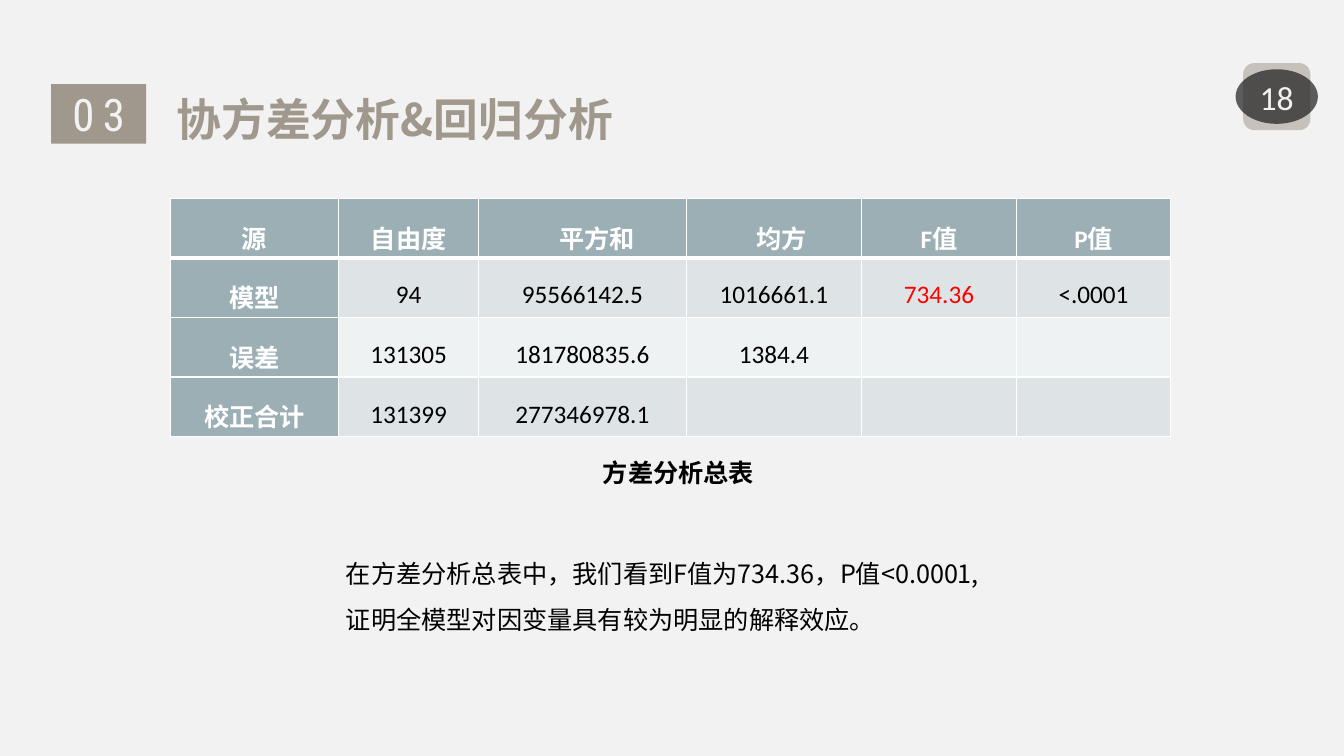
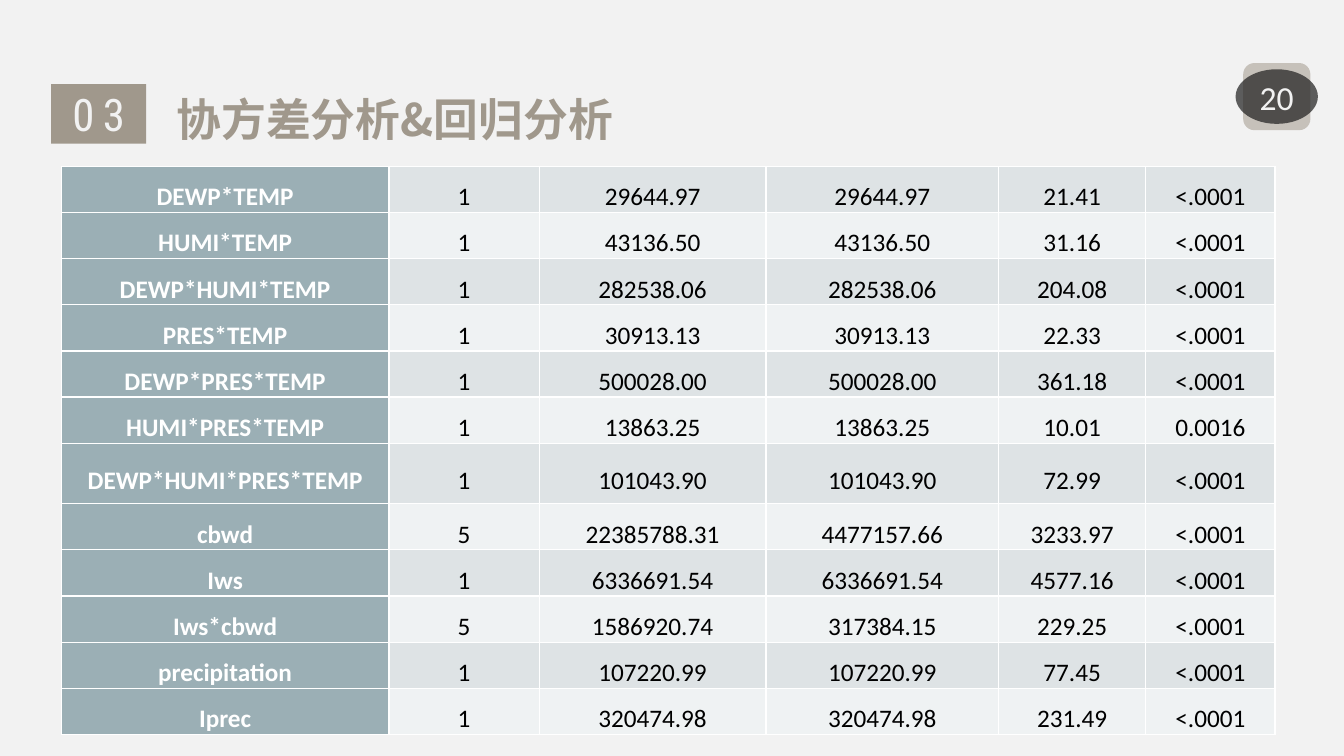
from dataclasses import dataclass, field

import lxml.etree
import pptx
import pptx.dml.color
import pptx.enum.shapes
import pptx.enum.text
import pptx.oxml.ns
import pptx.presentation
import pptx.shapes.autoshape
import pptx.slide
import pptx.table
import pptx.text.text
import pptx.util

RGBColor = pptx.dml.color.RGBColor
ALIGN = pptx.enum.text.PP_ALIGN
ANCHOR = pptx.enum.text.MSO_ANCHOR
SHAPE = pptx.enum.shapes.MSO_SHAPE
qn = pptx.oxml.ns.qn

PAPER = RGBColor(0xF2, 0xF2, 0xF2)
TAUPE = RGBColor(0xA0, 0x98, 0x8C)
PALE_TAUPE = RGBColor(0xC6, 0xC1, 0xBA)
CHARCOAL = RGBColor(0x1D, 0x1D, 0x1D)
SLATE = RGBColor(0x9B, 0xAF, 0xB5)
BANDS = (RGBColor(0xDE, 0xE3, 0xE5), RGBColor(0xEF, 0xF2, 0xF3))
WHITE = RGBColor(0xFF, 0xFF, 0xFF)
BLACK = RGBColor(0x00, 0x00, 0x00)
RED = RGBColor(0xFF, 0x00, 0x00)

CHINESE = "Noto Sans CJK SC"
GRID_COLUMNS, GRID_ROWS = 160, 90
UNIT = pptx.util.Inches(1) / 12


def grid(count: float) -> int:
    return round(count * UNIT)


def points(size: float) -> int:
    return pptx.util.Pt(size)


@dataclass(frozen=True)
class Area:
    column: float
    row: float
    columns: float
    rows: float

    def lengths(self) -> tuple[int, int, int, int]:
        return grid(self.column), grid(self.row), grid(self.columns), grid(self.rows)


@dataclass(frozen=True)
class Style:
    size: float
    color: RGBColor
    font: str = "Calibri"
    bold: bool = False
    align: ALIGN = ALIGN.CENTER
    line_spacing: float = 1.0
    indent: float = 0
    tracking: float = 0


@dataclass(frozen=True)
class Grid:
    column: float
    row: float
    columns: list[float]
    rows: list[float]
    cells: list[list[str]]
    has_header: bool = False
    indents: dict[int, float] = field(default_factory=dict)
    red_cells: tuple[tuple[int, int], ...] = ()


NUMBER = Style(32, PAPER, "Roboto Condensed", tracking=6)
TITLE = Style(32, TAUPE, CHINESE, True, ALIGN.LEFT, 1.2)
PAGE_NUMBER = Style(24, PAPER)
CAPTION = Style(18, BLACK, "Arial", True, ALIGN.LEFT, indent=1.8)
BODY = Style(18, BLACK, CHINESE, align=ALIGN.LEFT, line_spacing=1.5)

SUMMARY = Grid(
    20.3, 23.6,
    [20, 16.7, 24.7, 20.9, 18.4, 18.4],
    [7.1] * 4,
    [
        ["源", "自由度", "平方和", "均方", "F值", "P值"],
        ["模型", "94", "95566142.5", "1016661.1", "734.36", "<.0001"],
        ["误差", "131305", "181780835.6", "1384.4", "", ""],
        ["校正合计", "131399", "277346978.1", "", "", ""],
    ],
    has_header=True,
    indents={2: 3.5, 3: 1.8},
    red_cells=((1, 4),),
)
EFFECTS = Grid(
    7.3, 19.8,
    [39, 17.9, 27, 27.7, 17.5, 15.4],
    [5.4] * 6 + [7.2] + [5.4] * 5,
    [
        ["DEWP*TEMP", "1", "29644.97", "29644.97", "21.41", "<.0001"],
        ["HUMI*TEMP", "1", "43136.50", "43136.50", "31.16", "<.0001"],
        ["DEWP*HUMI*TEMP", "1", "282538.06", "282538.06", "204.08", "<.0001"],
        ["PRES*TEMP", "1", "30913.13", "30913.13", "22.33", "<.0001"],
        ["DEWP*PRES*TEMP", "1", "500028.00", "500028.00", "361.18", "<.0001"],
        ["HUMI*PRES*TEMP", "1", "13863.25", "13863.25", "10.01", "0.0016"],
        ["DEWP*HUMI*PRES*TEMP", "1", "101043.90", "101043.90", "72.99", "<.0001"],
        ["cbwd", "5", "22385788.31", "4477157.66", "3233.97", "<.0001"],
        ["Iws", "1", "6336691.54", "6336691.54", "4577.16", "<.0001"],
        ["Iws*cbwd", "5", "1586920.74", "317384.15", "229.25", "<.0001"],
        ["precipitation", "1", "107220.99", "107220.99", "77.45", "<.0001"],
        ["Iprec", "1", "320474.98", "320474.98", "231.49", "<.0001"],
    ],
)


def write(frame: pptx.text.text.TextFrame, text: str, style: Style) -> None:
    para = frame.paragraphs[0]
    span = para.add_run()
    span.text = text
    if style.tracking:
        span.font._element.set("spc", str(round(style.tracking * 100)))
    if style.indent:
        para._p.get_or_add_pPr().set("indent", str(grid(style.indent)))
    para.alignment = style.align
    para.line_spacing = style.line_spacing
    para.font.size = points(style.size)
    para.font.bold = style.bold
    para.font.color.rgb = style.color
    para.font.name = style.font
    east_asian = lxml.etree.SubElement(para.font._element, qn("a:ea"))
    east_asian.set("typeface", CHINESE)


def add_block(
    page: pptx.slide.Slide, kind: SHAPE, area: Area, color: RGBColor
) -> pptx.shapes.autoshape.Shape:
    block = page.shapes.add_shape(kind, *area.lengths())
    block.shadow.inherit = False
    block.fill.solid()
    block.fill.fore_color.rgb = color
    block.line.fill.background()
    block.text_frame.vertical_anchor = ANCHOR.MIDDLE
    return block


def add_text(
    page: pptx.slide.Slide, area: Area, text: str, style: Style, wrap: bool = True
) -> None:
    box = page.shapes.add_textbox(*area.lengths())
    box.text_frame.word_wrap = wrap
    write(box.text_frame, text, style)


def set_borders(cell: pptx.table._Cell, top: float, bottom: float) -> None:
    properties = cell._tc.get_or_add_tcPr()
    for side, width in (("L", 1), ("R", 1), ("T", top), ("B", bottom)):
        line = lxml.etree.SubElement(properties, qn(f"a:ln{side}"))
        line.set("w", str(points(width)))
        fill = lxml.etree.SubElement(line, qn("a:solidFill"))
        lxml.etree.SubElement(fill, qn("a:srgbClr")).set("val", str(WHITE))


def add_grid(page: pptx.slide.Slide, spec_grid: Grid) -> None:
    area = Area(
        spec_grid.column, spec_grid.row, sum(spec_grid.columns), sum(spec_grid.rows)
    )
    table = page.shapes.add_table(
        len(spec_grid.rows), len(spec_grid.columns), *area.lengths()
    ).table
    table.first_row = spec_grid.has_header
    table.first_col = True
    for column, width in zip(table.columns, spec_grid.columns):
        column.width = grid(width)
    for row, height in zip(table.rows, spec_grid.rows):
        row.height = grid(height)
    for row_index, texts in enumerate(spec_grid.cells):
        is_header = spec_grid.has_header and row_index == 0
        below_header = spec_grid.has_header and row_index == 1
        band = BANDS[(row_index - spec_grid.has_header) % 2]
        for column_index, text in enumerate(texts):
            cell = table.cell(row_index, column_index)
            is_label = is_header or column_index == 0
            is_red = (row_index, column_index) in spec_grid.red_cells
            set_borders(cell, 3 if below_header else 1, 3 if is_header else 1)
            cell.fill.solid()
            cell.fill.fore_color.rgb = SLATE if is_label else band
            cell.vertical_anchor = ANCHOR.MIDDLE
            cell.margin_left = cell.margin_right = pptx.util.Inches(0.07)
            cell.margin_top = cell.margin_bottom = 0
            if text:
                color = WHITE if is_label else RED if is_red else BLACK
                indent = spec_grid.indents.get(column_index, 0) if is_header else 0
                style = Style(
                    18, color, bold=is_label, line_spacing=1.5, indent=indent
                )
                write(cell.text_frame, text, style)


def add_page(
    deck: pptx.presentation.Presentation, page_number: str
) -> pptx.slide.Slide:
    page = deck.slides.add_slide(deck.slide_layouts.get_by_name("Title Only"))
    section = add_block(page, SHAPE.RECTANGLE, Area(6.1, 10, 11.3, 7.1), TAUPE)
    write(section.text_frame, "03", NUMBER)

    title = page.shapes.title
    title.left, title.top, title.width, title.height = Area(19.8, 9, 60.2, 9).lengths()
    title.text_frame.vertical_anchor = ANCHOR.TOP
    title.text_frame.auto_size = pptx.enum.text.MSO_AUTO_SIZE.NONE
    write(title.text_frame, "协方差分析&回归分析", TITLE)

    add_block(page, SHAPE.ROUNDED_RECTANGLE, Area(148, 7.5, 8, 8), PALE_TAUPE)
    badge = add_block(page, SHAPE.OVAL, Area(147.1, 8.25, 9.8, 6.5), CHARCOAL)
    tint = badge._element.spPr.find(qn("a:solidFill")).find(qn("a:srgbClr"))
    lxml.etree.SubElement(tint, qn("a:alpha")).set("val", "70000")
    frame = badge.text_frame
    frame.margin_left = frame.margin_right = pptx.util.Inches(0.02)
    write(frame, page_number, PAGE_NUMBER)
    return page


def main() -> None:
    deck = pptx.Presentation()
    deck.slide_width = grid(GRID_COLUMNS)
    deck.slide_height = grid(GRID_ROWS)
    background = deck.slide_master.background.fill
    background.solid()
    background.fore_color.rgb = PAPER

    summary_page = add_page(deck, "18")
    add_grid(summary_page, SUMMARY)
    add_text(
        summary_page, Area(68.8, 53.9, 22.4, 4.8), "方差分析总表", CAPTION, wrap=False
    )
    add_text(
        summary_page,
        Area(40, 64.1, 79.3, 12.1),
        "在方差分析总表中，我们看到F值为734.36，P值<0.0001,"
        "证明全模型对因变量具有较为明显的解释效应。",
        BODY,
    )

    effects_page = add_page(deck, "20")
    add_grid(effects_page, EFFECTS)
    deck.save("out.pptx")


if __name__ == "__main__":
    main()
